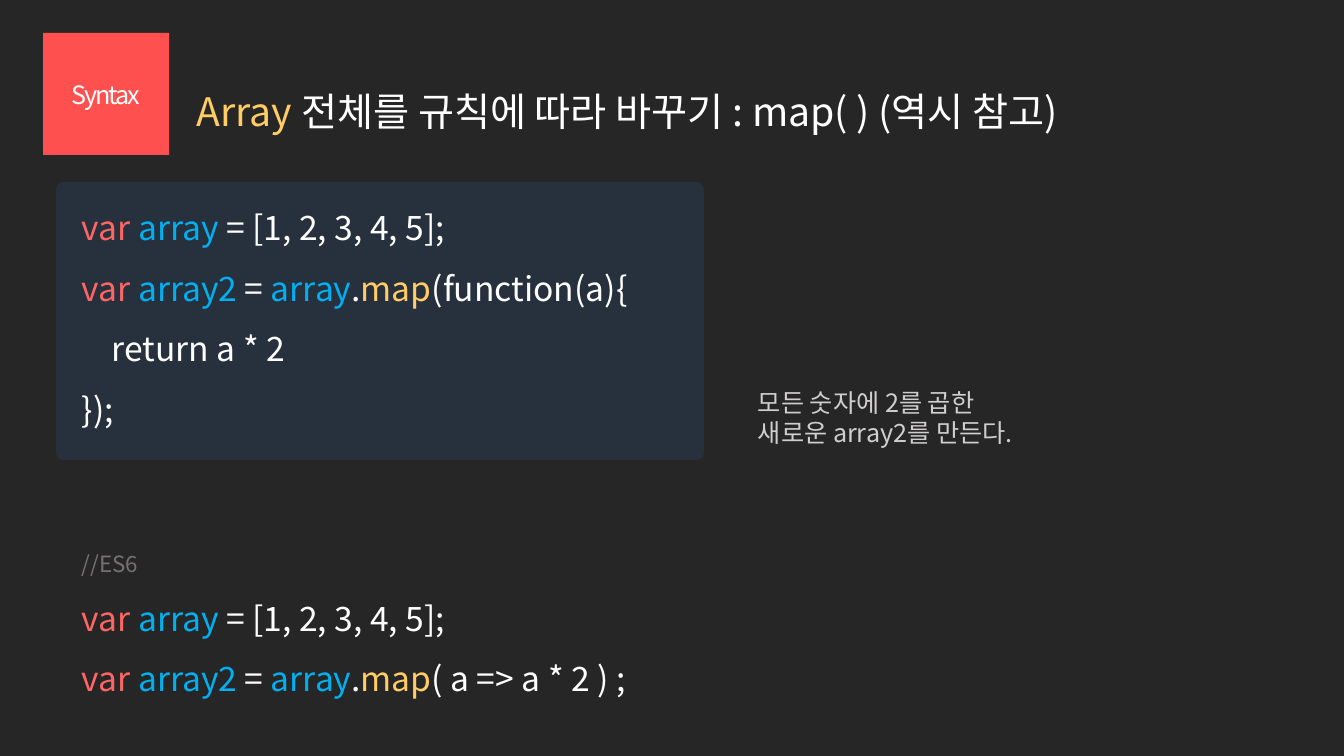
import pptx
import pptx.dml.color
import pptx.enum.shapes
import pptx.enum.text
import pptx.oxml.ns
import pptx.util
import lxml.etree

RGBColor = pptx.dml.color.RGBColor
ANCHOR = pptx.enum.text.MSO_ANCHOR
ALIGN = pptx.enum.text.PP_ALIGN
AUTO_SIZE = pptx.enum.text.MSO_AUTO_SIZE

BACKGROUND = RGBColor(0x26, 0x26, 0x26)
PANEL = RGBColor(0x27, 0x30, 0x3D)
BADGE = RGBColor(0xFF, 0x50, 0x50)
KEYWORD = RGBColor(0xFF, 0x65, 0x65)
VARIABLE = RGBColor(0x00, 0xB0, 0xF0)
METHOD = RGBColor(0xFF, 0xCC, 0x66)
WHITE = RGBColor(0xFF, 0xFF, 0xFF)
NOTE = RGBColor(0xD0, 0xCE, 0xCE)
COMMENT = RGBColor(0x76, 0x71, 0x71)


def px(n):
    return pptx.util.Emu(round(n * 914400 / 100.8))


def set_values(obj, values):
    for name, value in values.items():
        setattr(obj, name, value)


class SlideBuilder:
    font = "Noto Sans CJK KR"

    def __init__(self, prs):
        self.s = prs.slides.add_slide(prs.slide_layouts[6])

    def background(self, color):
        fill = self.s.background.fill
        fill.solid()
        fill.fore_color.rgb = color

    def add_lines(self, tf, lines, size, tracking=None, **paragraph_format):
        for i, line in enumerate(lines):
            p = tf.paragraphs[0] if i == 0 else tf.add_paragraph()
            set_values(p, paragraph_format)
            for text, color, *own_size in line:
                r = p.add_run()
                r.text = text
                points = own_size[0] if own_size else size
                set_values(r.font, {"size": pptx.util.Pt(points), "name": self.font})
                r.font.color.rgb = color
                rpr = r.font._element
                ea = lxml.etree.SubElement(rpr, pptx.oxml.ns.qn("a:ea"))
                ea.set("typeface", self.font)
                if tracking is not None:
                    rpr.set("spc", str(tracking))

    def panel(self, x, y, w, h, color, radius):
        kind = pptx.enum.shapes.MSO_SHAPE.ROUNDED_RECTANGLE
        sp = self.s.shapes.add_shape(kind, px(x), px(y), px(w), px(h))
        sp.adjustments[0] = radius
        sp.shadow.inherit = False
        sp.fill.solid()
        sp.fill.fore_color.rgb = color
        sp.line.fill.background()
        return sp

    def badge(self, x, y, w, h, text):
        tf = self.panel(x, y, w, h, BADGE, 0).text_frame
        set_values(tf, {"word_wrap": True, "vertical_anchor": ANCHOR.MIDDLE})
        self.add_lines(tf, [[(text, WHITE)]], 18, -150, alignment=ALIGN.CENTER)

    def text(self, x, y, w, h, lines, size, auto_size=AUTO_SIZE.SHAPE_TO_FIT_TEXT, **paragraph_format):
        tf = self.s.shapes.add_textbox(px(x), px(y), px(w), px(h)).text_frame
        set_values(tf, {"word_wrap": True, "auto_size": auto_size})
        self.add_lines(tf, lines, size, **paragraph_format)

    def code(self, x, y, w, h, lines):
        self.text(x, y, w, h, lines, 24, line_spacing=1.5)


def map_line(argument):
    return [("var ", KEYWORD), ("array2 ", VARIABLE), ("=", WHITE), (" array", VARIABLE),
            (".", WHITE), ("map", METHOD), (argument, WHITE)]


def main():
    prs = pptx.Presentation()
    set_values(prs, {"slide_width": px(1344), "slide_height": px(756)})
    slide = SlideBuilder(prs)
    array_line = [("var ", KEYWORD), ("array", VARIABLE), (" = [1, 2, 3, 4, 5];", WHITE)]

    slide.background(BACKGROUND)
    slide.panel(56, 182, 648, 278, PANEL, 0.027)
    title = [("Array ", METHOD), ("전체를 규칙에 따라 바꾸기 : map( ) (역시 참고)", WHITE)]
    slide.text(187, 88, 975, 83, [title], 28, AUTO_SIZE.NONE, line_spacing=0.9)
    slide.badge(43, 33, 126, 122, "Syntax")
    slide.code(72, 182, 672, 254, [
        array_line,
        map_line("(function(a){"),
        [("    return a * 2", WHITE)],
        [("});", WHITE)],
    ])
    slide.text(748, 382, 280, 72, [
        [("모든 숫자에 2를 곱한", NOTE)],
        [("새로운 array2를 만든다.", NOTE)],
    ], 18)
    slide.code(72, 532, 672, 173, [
        [("//ES6", COMMENT, 16)],
        array_line,
        map_line("( a => a * 2 ) ;"),
    ])
    prs.save("out.pptx")


if __name__ == "__main__":
    main()
